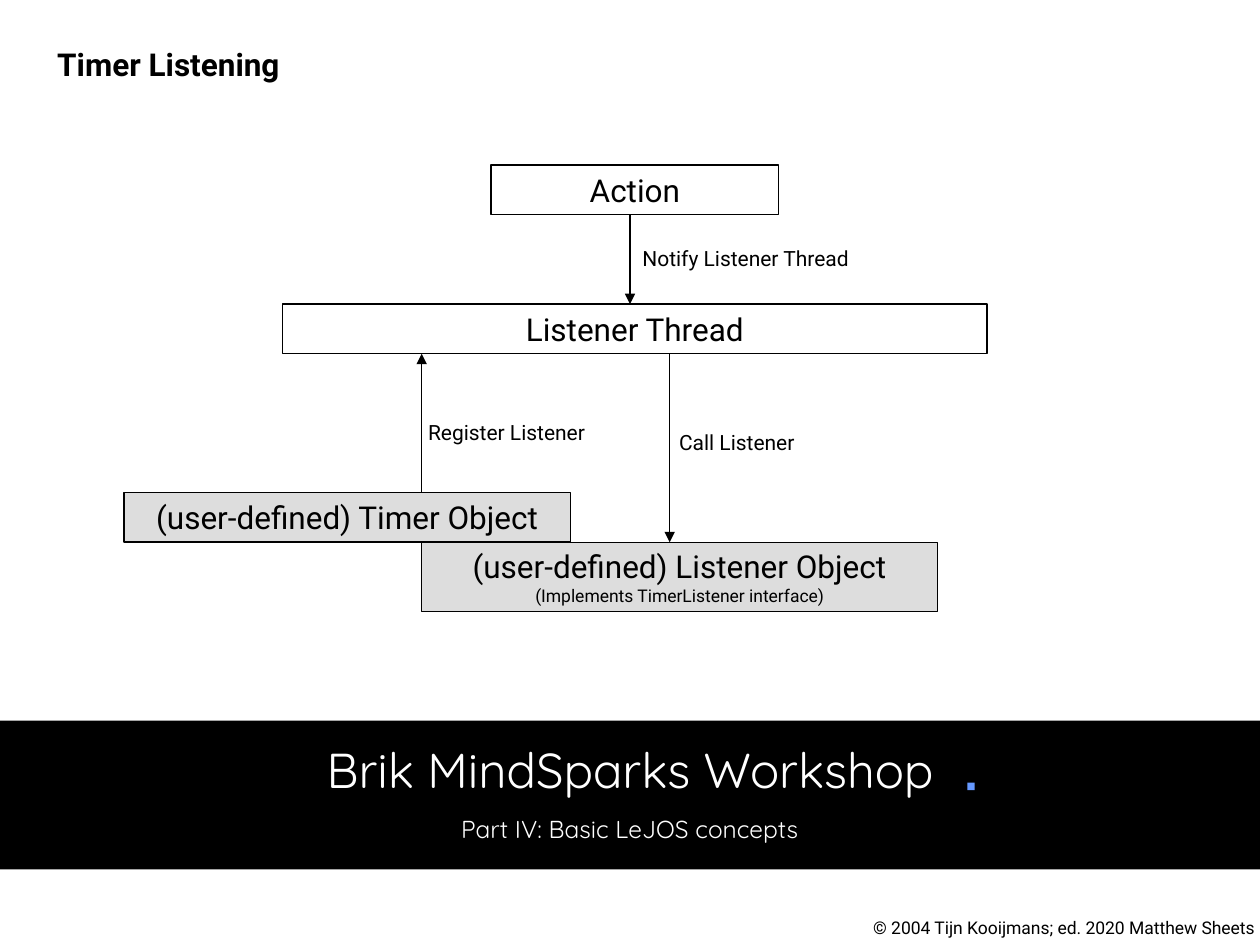
from dataclasses import dataclass

from lxml.etree import SubElement
from pptx import Presentation
from pptx.dml.color import RGBColor
from pptx.enum.shapes import MSO_CONNECTOR as Connector, MSO_SHAPE as Shape
from pptx.enum.text import MSO_ANCHOR as Anchor, PP_ALIGN as Align
from pptx.oxml.ns import qn
from pptx.util import Inches, Mm, Pt

BLACK = RGBColor(0x00, 0x00, 0x00)
WHITE = RGBColor(0xFF, 0xFF, 0xFF)
GREY = RGBColor(0xDD, 0xDD, 0xDD)
BLUE = RGBColor(0x66, 0x99, 0xFF)
BODY_FONT = "Roboto"
BAND_FONT = "Quicksand"
CELL = Mm(2)


@dataclass
class Box:
    col: float
    row: float
    cols: float
    rows: float

    def inner(self, col, row, cols, rows):
        return Box(self.col + col, self.row + row, cols, rows)

    def lengths(self):
        return [round(n * CELL) for n in (self.col, self.row, self.cols, self.rows)]


def write(frame, lines, sizes, color=BLACK, font=BODY_FONT, align=Align.LEFT, bold=False):
    frame.text = "\n".join(lines)
    frame.word_wrap = True
    for paragraph, size in zip(frame.paragraphs, sizes):
        paragraph.alignment = align
        for run in paragraph.runs:
            run.font.size = Pt(size)
            run.font.name = font
            run.font.bold = bold
            run.font.color.rgb = color


def add_text(slide, box, lines, sizes, **style):
    frame = slide.shapes.add_textbox(*box.lengths()).text_frame
    write(frame, lines, sizes, **style)
    return frame


def add_rect(slide, box, fill=None, outlined=False):
    rect = slide.shapes.add_shape(Shape.RECTANGLE, *box.lengths())
    rect.shadow.inherit = False
    if fill is None:
        rect.fill.background()
    else:
        rect.fill.solid()
        rect.fill.fore_color.rgb = fill
    if outlined:
        rect.line.color.rgb = BLACK
        rect.line.width = Pt(0.75)
    else:
        rect.line.fill.background()
    return rect


def add_node(slide, box, lines, fill=None):
    frame = add_rect(slide, box, fill, outlined=True).text_frame
    write(frame, lines, (18, 10), align=Align.CENTER)
    frame.vertical_anchor = Anchor.MIDDLE


def add_arrow(slide, box, col, start_row, end_row):
    x, start_y, _, _ = box.inner(col, start_row, 0, 0).lengths()
    end_y = box.inner(col, end_row, 0, 0).lengths()[1]
    arrow = slide.shapes.add_connector(Connector.STRAIGHT, x, start_y, x, end_y)
    arrow.line.color.rgb = BLACK
    arrow.line.width = Pt(0.75)
    properties = arrow._element.spPr
    SubElement(properties.find(qn("a:ln")), qn("a:tailEnd"), type="triangle")
    SubElement(properties, qn("a:effectLst"))


def place_title(slide, box):
    title = slide.shapes.title
    title.left, title.top, title.width, title.height = box.lengths()
    write(title.text_frame, ["Timer Listening"], [18], bold=True)
    title.text_frame.vertical_anchor = Anchor.TOP
    title.text_frame.paragraphs[0].line_spacing = 1.1


def place_band(slide, box):
    add_rect(slide, box, BLACK)
    lines = ["Brik MindSparks Workshop", "Part IV: Basic LeJOS concepts"]
    heading = add_text(slide, box.inner(0, 1.25, box.cols, 11.7), lines, (28, 14),
                       color=WHITE, font=BAND_FONT, align=Align.CENTER)
    heading.paragraphs[1].space_before = Pt(8.8)
    add_rect(slide, box.inner(97.5, 6.25, 0.75, 0.75), BLUE)


def place_copyright(slide, box):
    add_text(slide, box, ["© 2004 Tijn Kooijmans; ed. 2020 Matthew Sheets"], [10],
             align=Align.RIGHT)


def place_diagram(slide, box):
    nodes = [
        (16, 14, 71, 5, ["Listener Thread"], None),
        (37, 0, 29, 5, ["Action"], None),
        (0, 33, 45, 5, ["(user-defined) Timer Object"], GREY),
        (30, 38, 52, 7, ["(user-defined) Listener Object",
                         "(Implements TimerListener interface)"], GREY),
    ]
    for col, row, cols, rows, lines, fill in nodes:
        add_node(slide, box.inner(col, row, cols, rows), lines, fill)

    calls = [
        (51, 5, 14, "Notify Listener Thread", 51, 7.5, 24.6),
        (30, 33, 19, "Register Listener", 29.4, 25, 19.3),
        (55, 19, 38, "Call Listener", 54.7, 26, 14.7),
    ]
    for col, start_row, end_row, label, label_col, label_row, label_cols in calls:
        add_arrow(slide, box, col, start_row, end_row)
        add_text(slide, box.inner(label_col, label_row, label_cols, 3.8), [label], [12])


def main():
    deck = Presentation()
    deck.slide_width, deck.slide_height = Inches(10), Inches(7.5)
    slide = deck.slides.add_slide(deck.slide_layouts[5])
    place_band(slide, Box(0, 72.65, 127, 15))
    place_copyright(slide, Box(85, 91.8, 42.7, 3.4))
    place_title(slide, Box(4.5, 3.5, 45, 12))
    place_diagram(slide, Box(12.5, 16.65, 87, 45))
    deck.save("out.pptx")


if __name__ == "__main__":
    main()
